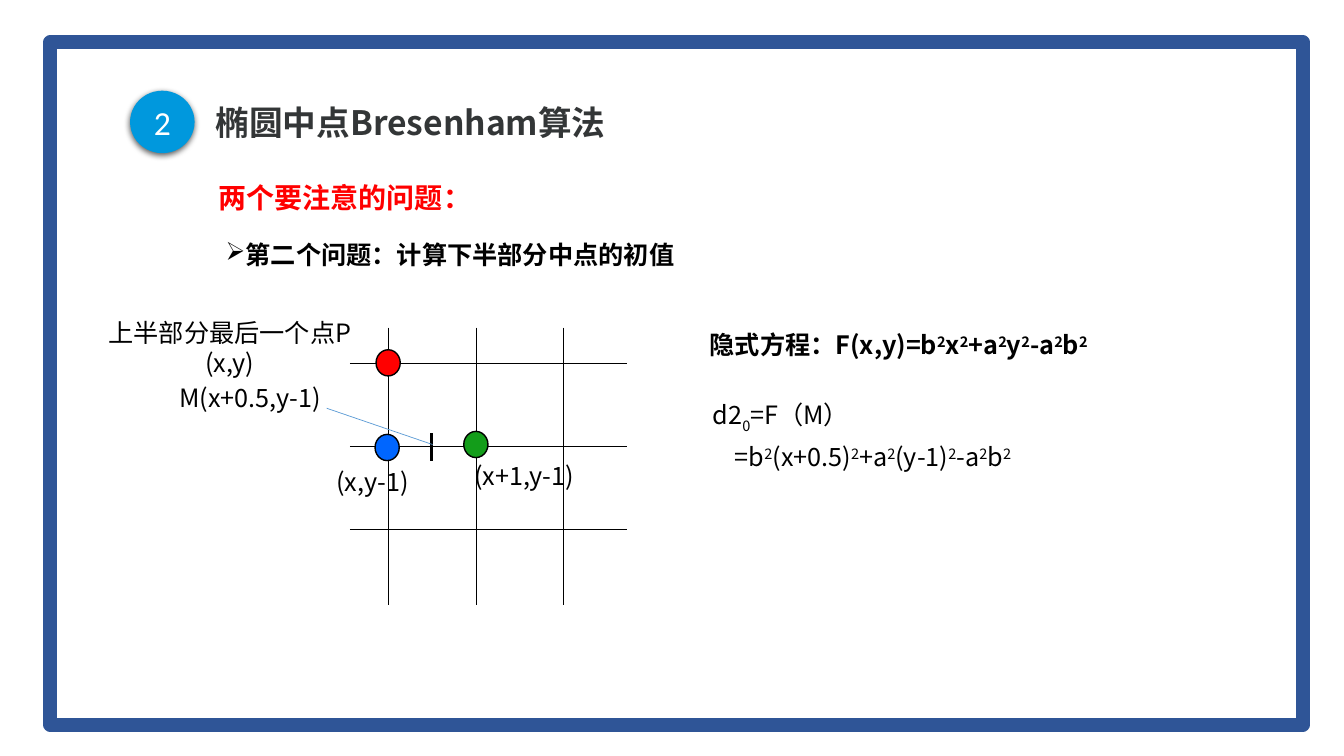
from dataclasses import dataclass
from typing import Optional

from lxml.etree import SubElement
from pptx import Presentation
from pptx.dml.color import RGBColor
from pptx.enum.shapes import MSO_CONNECTOR, MSO_SHAPE
from pptx.enum.text import MSO_ANCHOR, PP_ALIGN
from pptx.oxml.ns import qn
from pptx.util import Inches, Pt

COLORS = {
    "white": "FFFFFF", "black": "000000", "frame": "2F5597", "title": "333637",
    "badge": "0098DD", "red": "FF0000", "blue": "0066FF", "green": "139D1A",
    "pointer": "5B9BD5",
}
FONT = "Noto Sans CJK SC"
SCRIPTS = {"²": ("2", 30000), "₀": ("0", -25000)}


@dataclass
class Label:
    lines: list[str]
    left: float
    top: float
    width: float
    height: float = 0.4
    size: int = 18
    color: str = "black"
    bold: bool = False
    align: PP_ALIGN = PP_ALIGN.CENTER
    wrap: bool = False
    bullet: str = ""
    line_spacing: Optional[float] = None
    gap: int = 0
    hanging: float = 0


@dataclass
class Segment:
    x1: float
    y1: float
    x2: float
    y2: float
    color: str = "black"
    width: float = 0.5


@dataclass
class Figure:
    kind: MSO_SHAPE
    left: float
    top: float
    width: float
    height: float
    fill: Optional[str] = None
    line: Optional[str] = None
    line_width: float = 1


LABELS = [
    Label(["M(x+0.5,y-1)"], 1.61, 3.74, 1.74),
    Label(["上半部分最后一个点P (x,y)"], 0.73, 3.1, 3.1, wrap=True),
    Label(["(x,y-1)"], 3.22, 4.58, 0.95),
    Label(["(x+1,y-1)"], 4.56, 4.52, 1.28),
    Label(["d2₀=F（M）", "=b²(x+0.5)²+a²(y-1)²-a²b²"], 6.97, 3.92, 3.58, 0.79,
          align=PP_ALIGN.JUSTIFY, line_spacing=0.9, gap=10, hanging=0.22),
    Label(["隐式方程：F(x,y)=b²x²+a²y²-a²b²"], 6.94, 3.22, 4.2,
          bold=True, align=PP_ALIGN.LEFT),
    Label(["两个要注意的问题："], 2.07, 1.74, 2.73, 0.44, size=20,
          color="red", bold=True, align=PP_ALIGN.LEFT),
    Label(["第二个问题：计算下半部分中点的初值"], 2.14, 2.33, 4.69,
          bold=True, align=PP_ALIGN.LEFT, bullet="➢"),
]
PANELS = [
    Figure(MSO_SHAPE.RECTANGLE, 0.58, 0.5, 12.25, 6.62, "white"),
    Figure(MSO_SHAPE.RECTANGLE, 0.5, 0.42, 12.42, 6.77, line="frame", line_width=10),
]
GRID = [Segment(3.85 + 0.87 * step, 3.25, 3.85 + 0.87 * step, 6) for step in range(3)]
GRID += [Segment(3.47, 3.6 + 0.825 * step, 6.22, 3.6 + 0.825 * step) for step in range(3)]
MARKS = [
    Segment(4.28, 4.57, 4.28, 4.3, width=2.25),
    Segment(3.24, 4.05, 4.29, 4.41, "pointer"),
]
POINTS = [
    Figure(MSO_SHAPE.OVAL, left, top, 0.24, 0.26, fill, "black")
    for left, top, fill in [(3.72, 4.31, "blue"), (3.73, 3.47, "red"), (4.6, 4.28, "green")]
]


def rgb(name: str) -> RGBColor:
    return RGBColor.from_string(COLORS[name])


def format_font(paragraph, size: int, color: str, bold: bool = False, name: str = FONT) -> None:
    font = paragraph.font
    font.size, font.bold, font.name = Pt(size), bold, name
    font.color.rgb = rgb(color)
    SubElement(font._rPr, qn("a:ea"), typeface=name)


def add_spans(paragraph, text: str) -> None:
    for mark in SCRIPTS:
        text = text.replace(mark, f"|{mark}|")
    for piece in filter(None, text.split("|")):
        content, baseline = SCRIPTS.get(piece, (piece, 0))
        span = paragraph.add_run()
        span.text = content
        if baseline:
            span.font._rPr.set("baseline", str(baseline))


def add_label(page, label: Label) -> None:
    box = page.shapes.add_textbox(*map(Inches, (label.left, label.top, label.width, label.height)))
    frame = box.text_frame
    frame.word_wrap = label.wrap
    for index, line in enumerate(label.lines):
        paragraph = frame.add_paragraph() if index else frame.paragraphs[0]
        paragraph.alignment = label.align
        if label.line_spacing:
            paragraph.line_spacing = label.line_spacing
        if index:
            paragraph.space_before = Pt(label.gap)
            paragraph._p.get_or_add_pPr().set("marL", str(Inches(label.hanging)))
        if label.bullet:
            SubElement(paragraph._p.get_or_add_pPr(), qn("a:buChar"), char=label.bullet)
        format_font(paragraph, label.size, label.color, label.bold)
        add_spans(paragraph, line)


def add_segment(page, segment: Segment) -> None:
    ends = map(Inches, (segment.x1, segment.y1, segment.x2, segment.y2))
    line = page.shapes.add_connector(MSO_CONNECTOR.STRAIGHT, *ends)
    line.line.color.rgb = rgb(segment.color)
    line.line.width = Pt(segment.width)
    SubElement(line._element.spPr, qn("a:effectLst"))


def add_figure(page, figure: Figure):
    place = map(Inches, (figure.left, figure.top, figure.width, figure.height))
    shape = page.shapes.add_shape(figure.kind, *place)
    shape.shadow.inherit = False
    if figure.fill:
        shape.fill.solid()
        shape.fill.fore_color.rgb = rgb(figure.fill)
    else:
        shape.fill.background()
    if figure.line:
        shape.line.color.rgb = rgb(figure.line)
        shape.line.width = Pt(figure.line_width)
    else:
        shape.line.fill.background()
    return shape


def add_title(page) -> None:
    title = page.shapes.title
    title.left, title.top, title.width, title.height = map(Inches, (2.04, 0.93, 8.35, 0.61))
    title.text_frame.vertical_anchor = MSO_ANCHOR.MIDDLE
    paragraph = title.text_frame.paragraphs[0]
    paragraph.text = "椭圆中点Bresenham算法"
    paragraph.alignment = PP_ALIGN.LEFT
    paragraph.line_spacing = 0.9
    format_font(paragraph, 24, "title", True)
    page.shapes._spTree.append(title._element)


def add_badge(page) -> None:
    badge = add_figure(page, Figure(MSO_SHAPE.OVAL, 1.29, 0.9, 0.64, 0.62, "badge"))
    effects = badge._element.spPr.find(qn("a:effectLst"))
    shadow = SubElement(effects, qn("a:outerShdw"), blurRad=str(Pt(4.5)),
                        dist=str(Pt(1.5)), dir="5400000", rotWithShape="0")
    shade = SubElement(shadow, qn("a:srgbClr"), val=COLORS["black"])
    SubElement(shade, qn("a:alpha"), val="63000")
    badge.text_frame.vertical_anchor = MSO_ANCHOR.MIDDLE
    paragraph = badge.text_frame.paragraphs[0]
    paragraph.text = "2"
    paragraph.alignment = PP_ALIGN.CENTER
    format_font(paragraph, 24, "white", name="Calibri")


def main() -> None:
    deck = Presentation()
    deck.slide_width, deck.slide_height = Inches(13.33), Inches(7.5)
    page = deck.slides.add_slide(deck.slide_layouts[5])
    for panel in PANELS:
        add_figure(page, panel)
    add_title(page)
    add_badge(page)
    for segment in GRID:
        add_segment(page, segment)
    for point in POINTS:
        add_figure(page, point)
    for segment in MARKS:
        add_segment(page, segment)
    for label in LABELS:
        add_label(page, label)
    deck.save("out.pptx")


if __name__ == "__main__":
    main()
